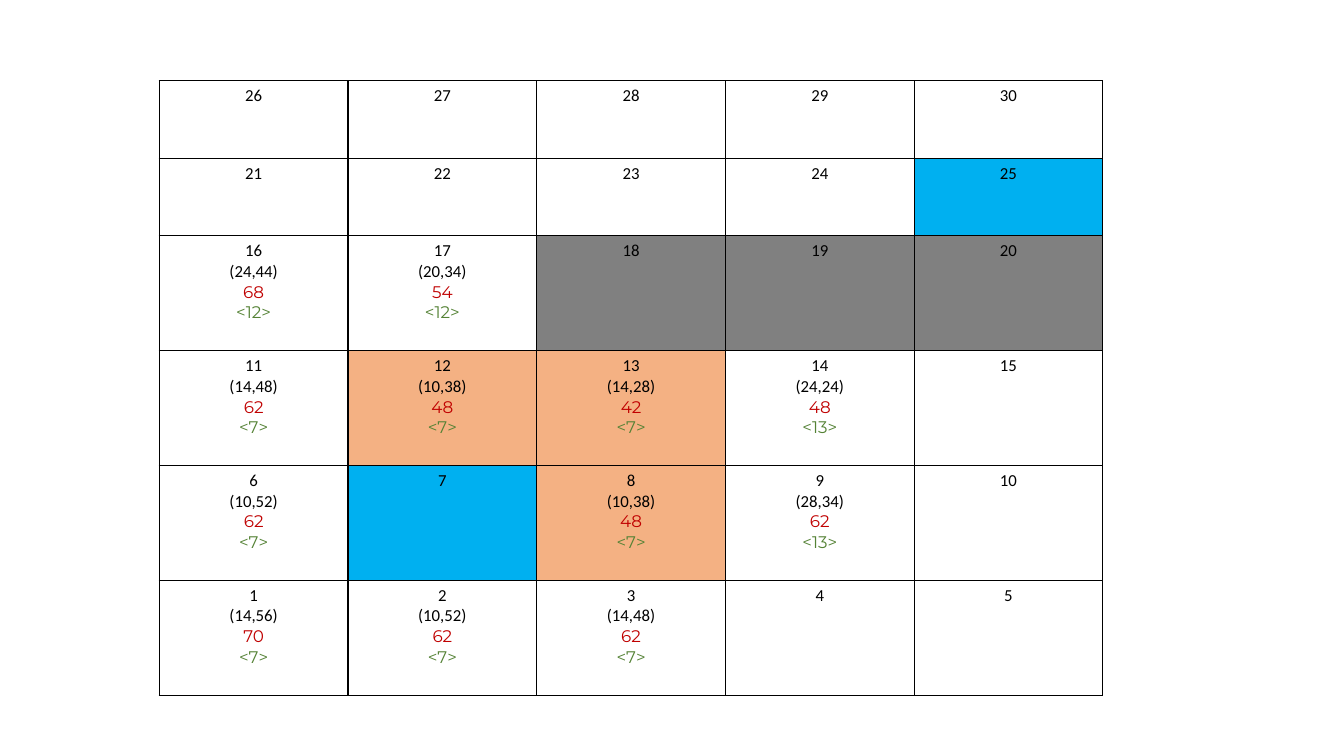
from dataclasses import dataclass

from lxml import etree
from pptx import Presentation
from pptx import util as u
from pptx.dml.color import RGBColor
from pptx.enum import text
from pptx.oxml import ns


@dataclass(frozen=True)
class Theme:
    """Colours, fonts and sizes of the slide."""
    ink: str = "000000"
    total: str = "C00000"
    parent: str = "548235"
    open: str = "FFFFFF"
    endpoint: str = "00B0F0"
    wall: str = "808080"
    route: str = "F4B183"
    body: str = "Calibri"
    accent: str = "Montserrat"
    size: float = 12
    border: float = 1


THEME = Theme()
ROWS, COLS = 6, 5
SHORT_ROWS, SHORT_SHARE = 2, 0.1262
COSTS = {
    1: (14, 56, 7), 2: (10, 52, 7), 3: (14, 48, 7),
    6: (10, 52, 7), 8: (10, 38, 7), 9: (28, 34, 13),
    11: (14, 48, 7), 12: (10, 38, 7), 13: (14, 28, 7), 14: (24, 24, 13),
    16: (24, 44, 12), 17: (20, 34, 12),
}
FILLS = {
    **dict.fromkeys((7, 25), THEME.endpoint),
    **dict.fromkeys((18, 19, 20), THEME.wall),
    **dict.fromkeys((8, 12, 13), THEME.route),
}


def node_lines(node):
    """Return the text, font and colour of each line in a node's cell."""
    lines = [(str(node), THEME.body, THEME.ink)]
    if node in COSTS:
        start, goal, parent = COSTS[node]
        lines += [
            (f"({start},{goal})", THEME.body, THEME.ink),
            (str(start + goal), THEME.accent, THEME.total),
            (f"<{parent}>", THEME.accent, THEME.parent),
        ]
    return lines


def set_borders(cell):
    """Draw a thin line on all four sides of a cell."""
    tc_pr = cell._tc.get_or_add_tcPr()
    for i, side in enumerate(("lnL", "lnR", "lnT", "lnB")):
        ln = etree.Element(ns.qn(f"a:{side}"), w=str(u.Pt(THEME.border)))
        fill = etree.SubElement(ln, ns.qn("a:solidFill"))
        etree.SubElement(fill, ns.qn("a:srgbClr"), val=THEME.ink)
        tc_pr.insert(i, ln)


def fill_cell(cell, node):
    """Write and colour the cell of one node."""
    cell.fill.solid()
    cell.fill.fore_color.rgb = RGBColor.from_string(FILLS.get(node, THEME.open))
    set_borders(cell)
    tf = cell.text_frame
    lines = node_lines(node)
    tf.text = "\n".join(line for line, _, _ in lines)
    for p, (_, font, colour) in zip(tf.paragraphs, lines):
        p.alignment = text.PP_ALIGN.CENTER
        p.font.name = font
        p.font.size = u.Pt(THEME.size)
        p.font.color.rgb = RGBColor.from_string(colour)


def add_search_grid(s, left, top, width, height):
    """Place the node grid in a box, numbered from the bottom left."""
    box = (u.Pt(v) for v in (left, top, width, height))
    table = s.shapes.add_table(ROWS, COLS, *box).table
    table.first_row = table.horz_banding = False
    short = height * SHORT_SHARE
    tall = (height - SHORT_ROWS * short) / (ROWS - SHORT_ROWS)
    for col in table.columns:
        col.width = u.Pt(width / COLS)
    for r, row in enumerate(table.rows):
        row.height = u.Pt(short if r < SHORT_ROWS else tall)
        for c, cell in enumerate(row.cells):
            fill_cell(cell, (ROWS - 1 - r) * COLS + c + 1)


def main():
    """Build the slide and save it."""
    prs = Presentation()
    prs.slide_width, prs.slide_height = u.Pt(960), u.Pt(540)
    s = prs.slides.add_slide(prs.slide_layouts[6])
    add_search_grid(s, 113.8, 57.6, 674, 439.2)
    prs.save("out.pptx")


main()
